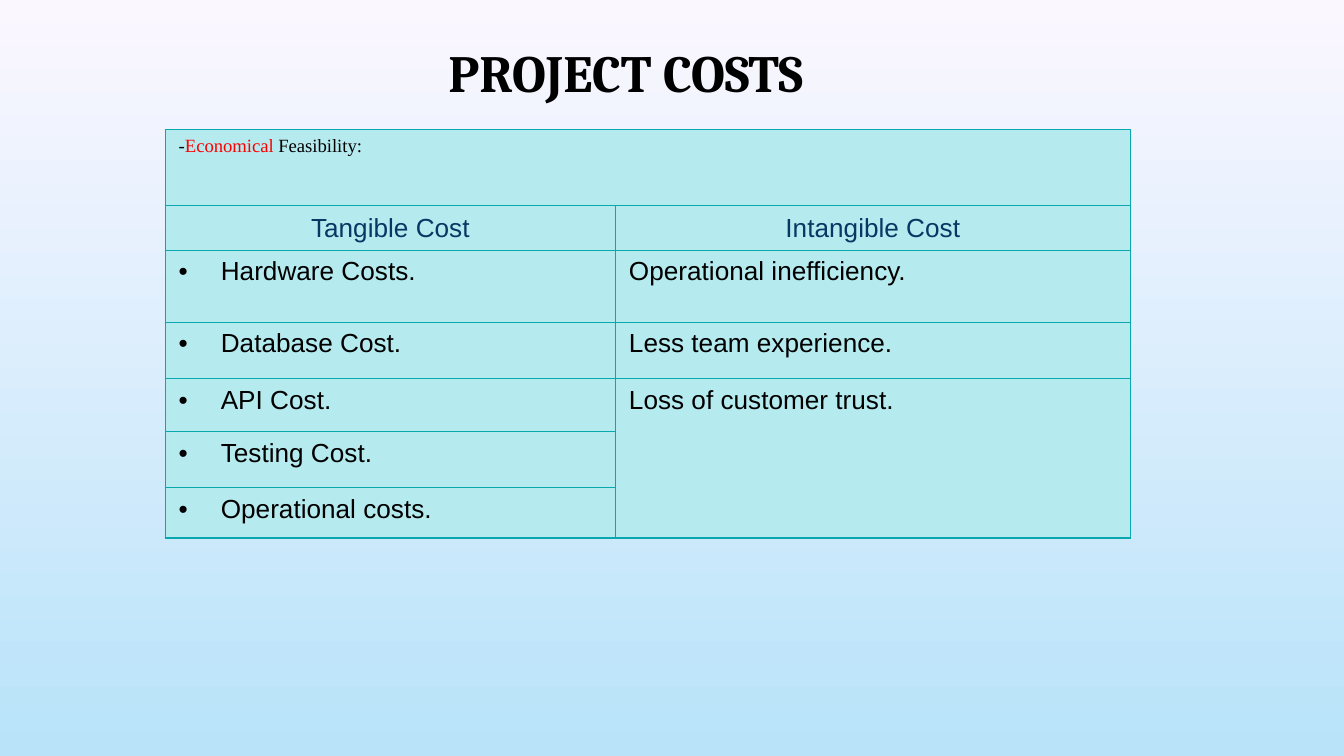
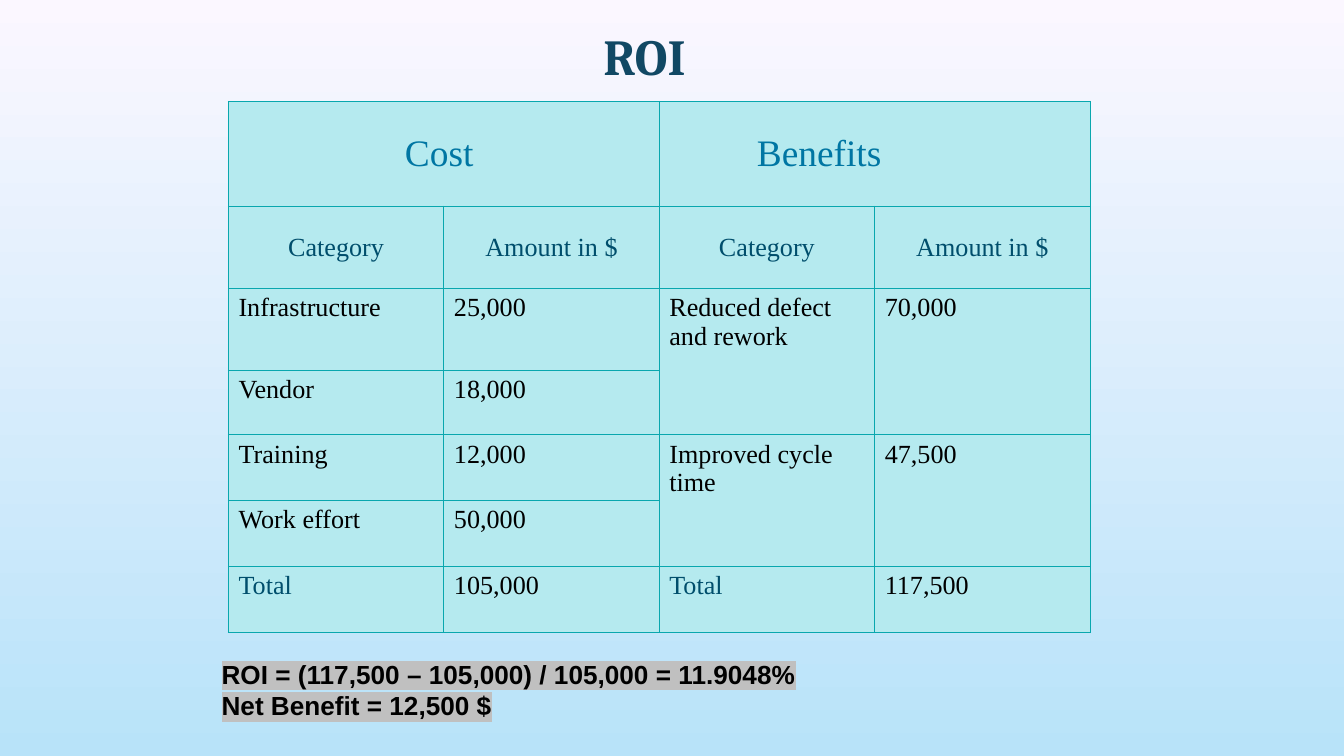
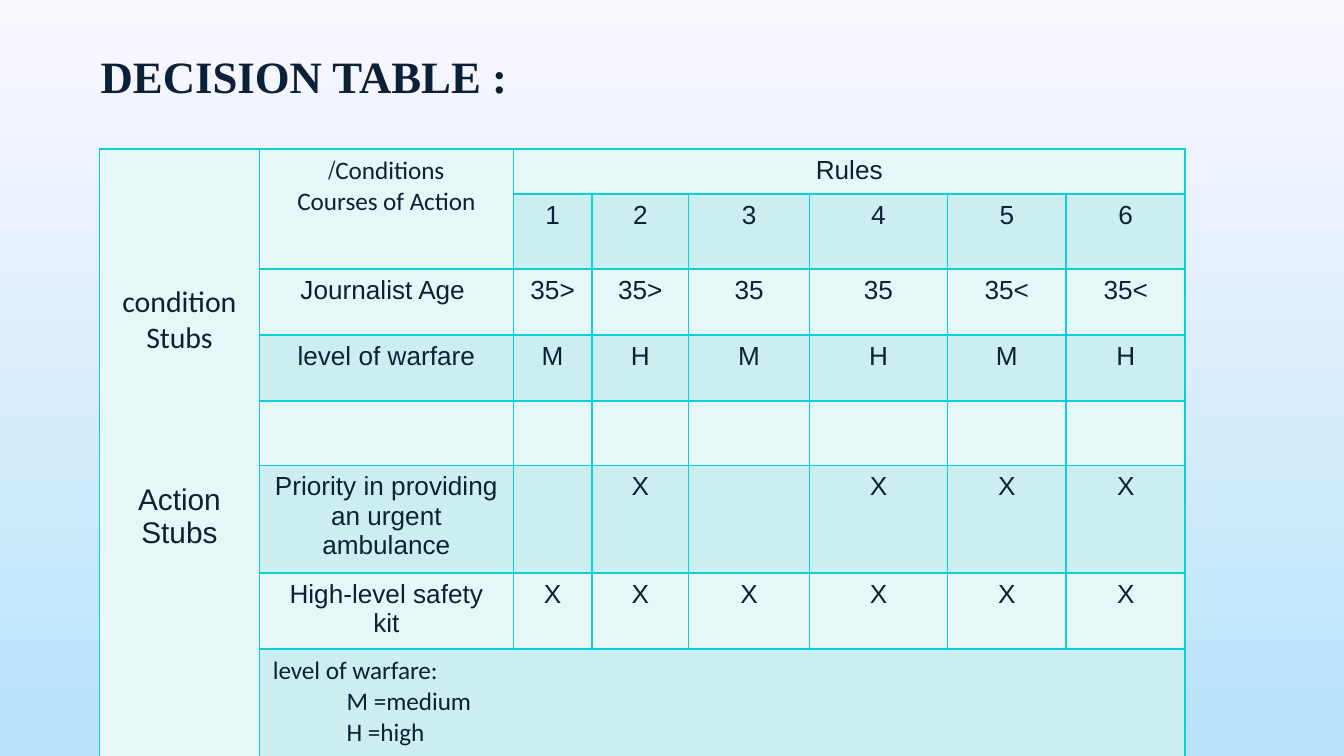
import dataclasses

import pptx
import pptx.dml.color
import pptx.enum.text
import pptx.oxml
import pptx.oxml.ns
import pptx.util

RGBColor = pptx.dml.color.RGBColor
ALIGN = pptx.enum.text.PP_ALIGN
ANCHOR = pptx.enum.text.MSO_ANCHOR

# The slide is a grid of 100 columns by 56.25 rows
GRID_COLUMNS, GRID_ROWS = 100, 56.25
GRID_STEP = 0.1

# Colours
SKY_TOP = RGBColor(0xFB, 0xF7, 0xFF)
SKY_BOTTOM = RGBColor(0xB8, 0xE3, 0xF9)
BLACK = RGBColor(0x00, 0x00, 0x00)
RED = RGBColor(0xFF, 0x00, 0x00)
NAVY = RGBColor(0x08, 0x37, 0x63)
PETROL = RGBColor(0x11, 0x48, 0x64)
INK = RGBColor(0x0C, 0x20, 0x36)
BLUE = RGBColor(0x00, 0x76, 0xA3)
DEEP_BLUE = RGBColor(0x00, 0x4E, 0x6C)
AQUA = RGBColor(0xB5, 0xEA, 0xEF)
TEAL = RGBColor(0x09, 0xA7, 0xAE)
CYAN = RGBColor(0x0B, 0xD0, 0xD9)
LIGHT_BAND = RGBColor(0xE7, 0xF7, 0xF8)
DARK_BAND = RGBColor(0xCC, 0xEE, 0xF1)
MARKER_GREY = RGBColor(0xC0, 0xC0, 0xC0)


@dataclasses.dataclass(frozen=True)
class Style:
    font: str
    size: float
    color: RGBColor = BLACK
    bold: bool = False
    highlight: RGBColor = None


ARIAL = Style("Arial", 14)
ARIAL_NAVY = Style("Arial", 14, NAVY)
ARIAL_INK = Style("Arial", 14, INK)
STUB_CALIBRI = Style("Calibri", 16, INK)
STUB_ARIAL = Style("Arial", 16, INK)
CALIBRI_INK = Style("Calibri", 13.5, INK)
TIMES_SMALL = Style("Times New Roman", 10)
TIMES_SMALL_RED = Style("Times New Roman", 10, RED)
TIMES = Style("Times New Roman", 14)
TIMES_BLUE = Style("Times New Roman", 14, DEEP_BLUE)
TIMES_HEAD = Style("Times New Roman", 20, BLUE)
RESULT = Style("Arial", 14, BLACK, True, MARKER_GREY)


def grid(steps):
    return pptx.util.Inches(steps * GRID_STEP)


def add_xml(parent, tag, **attributes):
    child = parent.makeelement(pptx.oxml.ns.qn(tag), attributes)
    parent.append(child)
    return child


# Text
def add_span(para, text, style):
    span = para.add_run()
    span.text = text
    span.font.size = pptx.util.Pt(style.size)
    span.font.bold = style.bold
    span.font.color.rgb = style.color
    if style.highlight is not None:
        marker = add_xml(span.font._element, "a:highlight")
        add_xml(marker, "a:srgbClr", val=str(style.highlight))
    span.font.name = style.font


def add_para(frame, spans, align=ALIGN.LEFT, rtl=False, bullet=False,
             indent=0, space_before=0, line_spacing=None):
    first = frame.paragraphs[0]
    para = frame.add_paragraph() if first.runs else first
    para.alignment = align
    if line_spacing:
        para.line_spacing = line_spacing
    if space_before:
        para.space_before = pptx.util.Pt(space_before)
    properties = para._p.get_or_add_pPr()
    if rtl:
        properties.set("rtl", "1")
    if indent:
        properties.set("marL", str(grid(indent)))
    if bullet:
        properties.set("indent", str(-grid(indent)))
        add_xml(properties, "a:buFont", typeface="Arial")
        add_xml(properties, "a:buChar", char="•")
    for text, style in spans:
        add_span(para, text, style)


def add_box(slide, left, top, width, height):
    box = slide.shapes.add_textbox(grid(left), grid(top), grid(width), grid(height))
    box.text_frame.word_wrap = True
    return box.text_frame


def add_title(slide, text, style, left, top, width, align=ALIGN.CENTER):
    frame = add_box(slide, left, top, width, 4.6)
    frame.vertical_anchor = ANCHOR.MIDDLE
    frame.margin_left = frame.margin_right = grid(1)
    frame.margin_top = frame.margin_bottom = grid(1)
    add_para(frame, [(text, style)], align, line_spacing=0.9)


# Tables
def style_cell(cell, fill, border, weight, margins):
    properties = cell._tc.get_or_add_tcPr()
    for side in ("a:lnL", "a:lnR", "a:lnT", "a:lnB"):
        line = add_xml(properties, side, w=str(pptx.util.Pt(weight)))
        add_xml(add_xml(line, "a:solidFill"), "a:srgbClr", val=str(border))
    cell.fill.solid()
    cell.fill.fore_color.rgb = fill
    cell.margin_left = cell.margin_right = grid(margins[0])
    cell.margin_top = cell.margin_bottom = grid(margins[1])


def add_grid_table(slide, left, top, columns, rows, merges, bands, border,
                   weight=0.75, margins=(1, 0.5)):
    table = slide.shapes.add_table(
        len(rows), len(columns), grid(left), grid(top),
        grid(sum(columns)), grid(sum(rows))).table
    table.first_row = table.horz_banding = False
    for column, width in zip(table.columns, columns):
        column.width = grid(width)
    for number, height in enumerate(rows):
        table.rows[number].height = grid(height)
        for cell in table.rows[number].cells:
            style_cell(cell, bands[number % len(bands)], border, weight, margins)
    for start, end in merges:
        table.cell(*start).merge(table.cell(*end))
    return table


def write_cell(table, row, column, text, style, align=ALIGN.LEFT,
               anchor=ANCHOR.TOP, **layout):
    cell = table.cell(row, column)
    cell.vertical_anchor = anchor
    add_para(cell.text_frame, [(text, style)], align, **layout)
    return cell


# Slides
def build_project_costs(slide):
    add_title(slide, "PROJECT COSTS", Style("Cambria", 28, BLACK, True), 14.1, 3.3, 64.9)
    table = add_grid_table(
        slide, 12.3, 9.65, [33.5, 38.3], [5.65, 3.2, 5.35, 4.2, 3.95, 4.15, 3.75],
        [((0, 0), (0, 1)), ((4, 1), (6, 1))], [AQUA], TEAL)
    add_para(table.cell(0, 0).text_frame, [
        ("-", TIMES_SMALL), ("Economical", TIMES_SMALL_RED),
        (" Feasibility:", TIMES_SMALL)])
    for column, heading in enumerate(("Tangible Cost", "Intangible Cost")):
        write_cell(table, 1, column, heading, ARIAL_NAVY, ALIGN.CENTER, ANCHOR.MIDDLE)
    tangible = ("Hardware Costs.", "Database Cost.", "API Cost.",
                "Testing Cost.", "Operational costs.")
    intangible = ("Operational inefficiency.", "Less team experience.",
                  "Loss of customer trust.")
    for row, text in enumerate(tangible, 2):
        write_cell(table, row, 0, text, ARIAL, bullet=True, indent=3.13)
    for row, text in enumerate(intangible, 2):
        write_cell(table, row, 1, text, ARIAL)


def build_roi(slide):
    add_title(slide, "ROI", Style("Cambria", 27, PETROL, True), 15.5, 2.1, 64.9)
    table = add_grid_table(
        slide, 17, 7.55, [16.03] * 4, [7.8, 6.1, 6.1, 4.8, 4.9, 4.9, 4.9],
        [((0, 0), (0, 1)), ((0, 2), (0, 3))]
        + [((row, column), (row + 1, column)) for row in (2, 4) for column in (2, 3)],
        [AQUA], TEAL, margins=(0.75, 0.38))
    for column, heading, right in ((0, "Cost", 1.45), (2, "Benefits", 9)):
        cell = write_cell(table, 0, column, heading, TIMES_HEAD,
                          ALIGN.CENTER, ANCHOR.MIDDLE)
        cell.margin_right = grid(right)
    for column, heading in enumerate(("Category", "Amount in $") * 2):
        write_cell(table, 1, column, heading, TIMES_BLUE, ALIGN.CENTER, ANCHOR.MIDDLE)
    amounts = (
        ("Infrastructure", "25,000", "Reduced defect and rework", "70,000"),
        ("Vendor", "18,000"),
        ("Training", "12,000", "Improved cycle time", "47,500"),
        ("Work effort", "50,000"),
        ("Total", "105,000", "Total", "117,500"),
    )
    for row, texts in enumerate(amounts, 2):
        for column, text in enumerate(texts):
            write_cell(table, row, column, text,
                       TIMES_BLUE if text == "Total" else TIMES)
    # Result below the table
    frame = add_box(slide, 15.5, 48.5, 59.2, 5.7)
    frame.auto_size = pptx.enum.text.MSO_AUTO_SIZE.SHAPE_TO_FIT_TEXT
    for text in ("ROI = (117,500 – 105,000) / 105,000 = 11.9048%",
                 "Net Benefit = 12,500 $"):
        add_para(frame, [(text, RESULT)])


def build_decision_table(slide):
    add_title(slide, "DECISION TABLE :", Style("Times New Roman", 24, INK, True),
              6.5, 3.6, 91.5, ALIGN.LEFT)
    table = add_grid_table(
        slide, 7.4, 11.1, [11.9, 18.9, 5.85, 7.2, 9, 10.25, 8.85, 8.85],
        [3.2, 5.6, 4.9, 4.9, 4.8, 7.6, 5.4, 9],
        [((0, 0), (7, 0)), ((0, 1), (1, 1)), ((0, 2), (0, 7)), ((7, 1), (7, 7))],
        [LIGHT_BAND, DARK_BAND], CYAN, 1)
    # Stubs down the left side
    stubs = (("condition", STUB_CALIBRI, 0), ("Stubs", STUB_CALIBRI, 0),
             ("Action", STUB_ARIAL, 68), ("Stubs", STUB_ARIAL, 0))
    for text, style, gap in stubs:
        write_cell(table, 0, 0, text, style, ALIGN.CENTER, rtl=True, space_before=gap)
    table.cell(0, 0).margin_top = grid(10)
    # Headings
    for text in ("Conditions/", "Courses of Action"):
        write_cell(table, 0, 1, text, CALIBRI_INK, ALIGN.CENTER, rtl=True)
    write_cell(table, 0, 2, "Rules", ARIAL_INK, ALIGN.CENTER)
    # Conditions and actions for each rule
    rules = (
        (1, "", "123456"),
        (2, "Journalist Age ", ("35>", "35>", "35", "35", "35<", "35<")),
        (3, "level of warfare", "MHMHMH"),
        (5, "Priority in providing an urgent ambulance", ("", "X", "", "X", "X", "X")),
        (6, "High-level safety kit", "XXXXXX"),
    )
    for row, label, values in rules:
        for column, text in enumerate((label, *values), 1):
            if text:
                write_cell(table, row, column, text, ARIAL_INK, ALIGN.CENTER,
                           rtl=column == 1 and row > 3)
    # Key
    for text, indent in (("level of warfare:", 0), ("M =medium", 5.5), ("H =high", 5.5)):
        write_cell(table, 7, 1, text, CALIBRI_INK, indent=indent)


def paint_background(master):
    fill = master.background.fill
    fill.gradient()
    fill.gradient_angle = 270
    for stop, color in zip(fill.gradient_stops, (SKY_TOP, SKY_BOTTOM)):
        stop.color.rgb = color


def main():
    deck = pptx.Presentation()
    deck.slide_width, deck.slide_height = grid(GRID_COLUMNS), grid(GRID_ROWS)
    paint_background(deck.slide_master)
    for build in (build_project_costs, build_roi, build_decision_table):
        build(deck.slides.add_slide(deck.slide_layouts[6]))
    deck.save("out.pptx")


if __name__ == "__main__":
    main()
